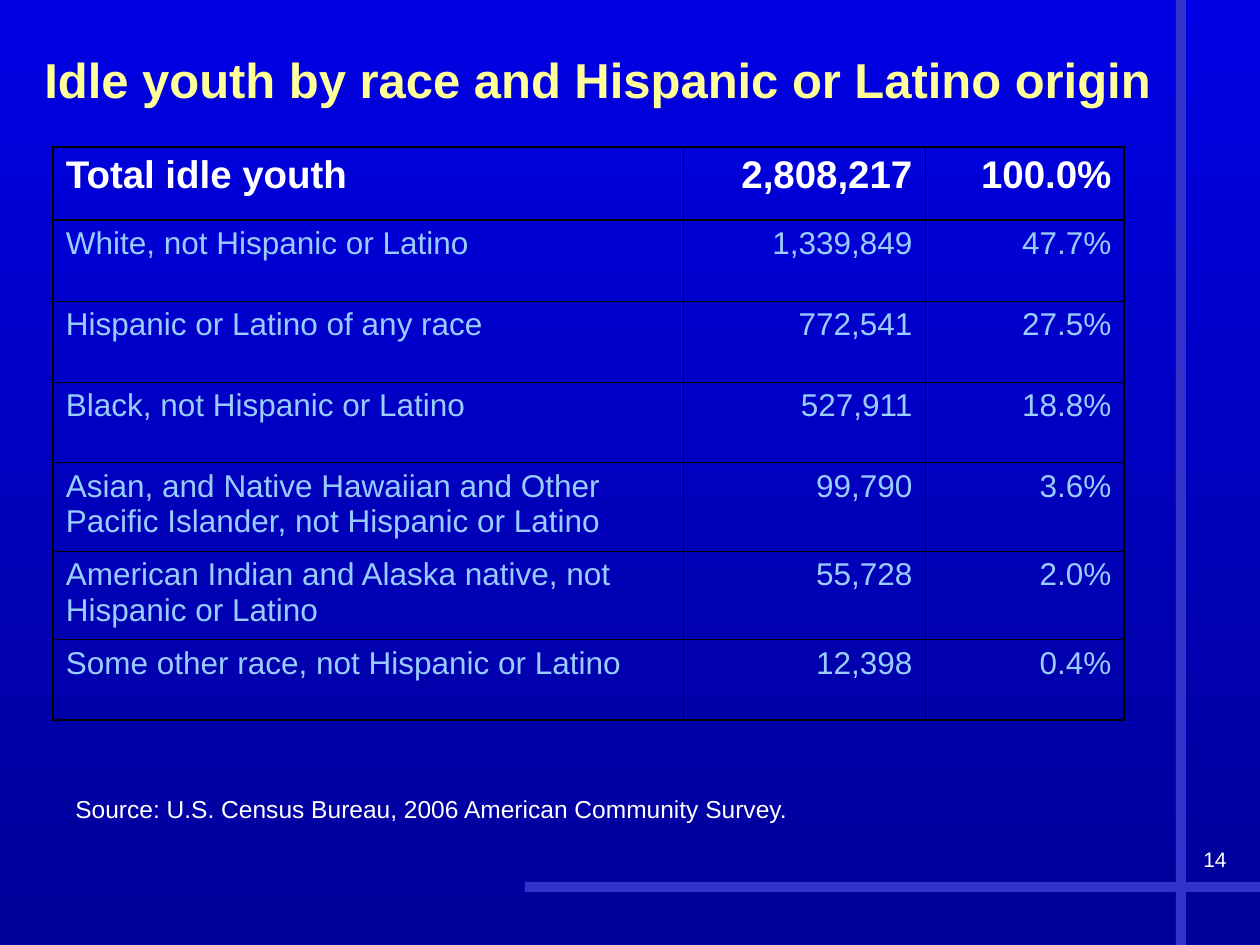
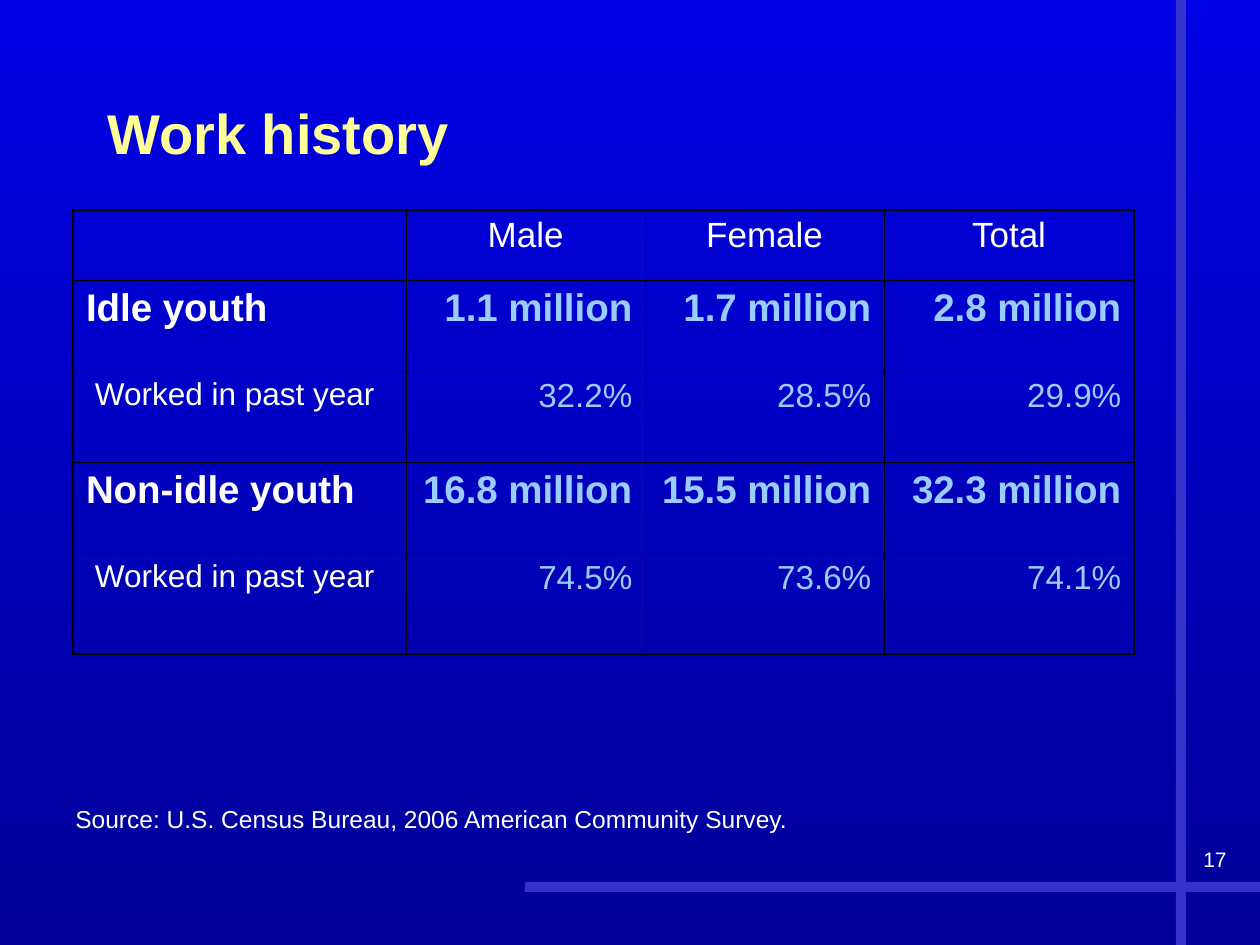
from dataclasses import dataclass

from lxml.etree import SubElement
from pptx import Presentation
from pptx.dml.color import RGBColor
from pptx.enum.shapes import MSO_SHAPE as Kind
from pptx.enum.text import MSO_ANCHOR as Anchor, PP_ALIGN as Align
from pptx.oxml.ns import qn
from pptx.slide import Slide
from pptx.table import _Cell as Cell
from pptx.text.text import TextFrame as Frame
from pptx.util import Emu, Pt

SCALE = 914400 / 126
WIDE, HIGH = 1260, 945
FONT = "Arial"
TOP, BASE = "0000E4", "000099"
BAND, LINE = "3333CC", "000000"
GOLD, WHITE, SKY = "FFFF99", "FFFFFF", "99CCFF"
THIN, EDGE, RULE = 0.45, 1.08, 1.47
PAD, INDENT = 13, 22
SOURCE = "Source: U.S. Census Bureau, 2006 American Community Survey."


@dataclass(frozen=True)
class Box:
    x: int
    y: int
    w: int
    h: int


@dataclass(frozen=True)
class Face:
    size: int
    color: str
    bold: bool = False


@dataclass(frozen=True)
class Row:
    texts: tuple[str, ...]
    high: int
    label: Face
    value: Face
    align: Align = Align.RIGHT
    inset: int = PAD


@dataclass(frozen=True)
class Grid:
    x: int
    y: int
    cols: tuple[int, ...]
    rows: tuple[Row, ...]
    rule: float = THIN


BARS = (Box(525, 882, 735, 10), Box(1176, 0, 10, HIGH))
NOTE, PAGE = Face(14, WHITE), Face(12, WHITE)
HEAD, BODY = Face(22, WHITE, True), Face(18, SKY)
SUM, SHARE = Face(22, SKY, True), Face(19, SKY)
SEX, PAST = Face(20, WHITE), Face(18, WHITE)

RACES = (
    ("White, not Hispanic or Latino", "1,339,849", "47.7%", 81),
    ("Hispanic or Latino of any race", "772,541", "27.5%", 81),
    ("Black, not Hispanic or Latino", "527,911", "18.8%", 81),
    ("Asian, and Native Hawaiian and Other Pacific Islander, "
     "not Hispanic or Latino", "99,790", "3.6%", 88),
    ("American Indian and Alaska native, not Hispanic or Latino",
     "55,728", "2.0%", 88),
    ("Some other race, not Hispanic or Latino", "12,398", "0.4%", 81),
)
YOUTH = Grid(53, 147, (630, 242, 199), (
    Row(("Total idle youth", "2,808,217", "100.0%"), 73, HEAD, HEAD),
    *(Row(tuple(texts), high, BODY, BODY) for *texts, high in RACES),
), RULE)


def group(name: str, sums: tuple[str, ...], rates: tuple[str, ...],
          last: int) -> tuple[Row, Row]:
    """Pair a headcount row with its share that worked."""
    return (Row((name, *(f"{n} million" for n in sums)), 91, HEAD, SUM),
            Row(("Worked in past year", *rates), last, PAST, SHARE,
                inset=INDENT))


WORK = Grid(73, 210, (333, 239, 239, 250), (
    Row(("", "Male", "Female", "Total"), 70, SEX, SEX, Align.CENTER),
    *group("Idle youth", ("1.1", "1.7", "2.8"),
           ("32.2%", "28.5%", "29.9%"), 91),
    *group("Non-idle youth", ("16.8", "15.5", "32.3"),
           ("74.5%", "73.6%", "74.1%"), 101),
))


def px(n: int) -> Emu:
    return Emu(round(n * SCALE))


def rgb(code: str) -> RGBColor:
    return RGBColor.from_string(code)


def place(box: Box) -> tuple[Emu, ...]:
    return px(box.x), px(box.y), px(box.w), px(box.h)


def write(frame: Frame, text: str, face: Face,
          align: Align = Align.LEFT) -> None:
    para = frame.paragraphs[0]
    para.alignment = align
    run = para.add_run()
    run.text = text
    font = run.font
    font.name, font.size, font.bold = FONT, Pt(face.size), face.bold
    font.color.rgb = rgb(face.color)


def label(slide: Slide, box: Box, text: str, face: Face,
          align: Align = Align.LEFT, anchor: Anchor = Anchor.TOP) -> Frame:
    frame = slide.shapes.add_textbox(*place(box)).text_frame
    frame.word_wrap = True
    frame.vertical_anchor = anchor
    write(frame, text, face, align)
    return frame


def edge(cell: Cell, widths: tuple[float, ...]) -> None:
    """Draw the left, right, top and bottom borders, in that order."""
    props = cell._tc.get_or_add_tcPr()
    for i, (side, width) in enumerate(zip("LRTB", widths)):
        line = SubElement(props, qn(f"a:ln{side}"), w=str(int(Pt(width))))
        fill = SubElement(line, qn("a:solidFill"))
        SubElement(fill, qn("a:srgbClr"), val=LINE)
        props.insert(i, line)


def draw(slide: Slide, grid: Grid) -> None:
    rows, cols = len(grid.rows), len(grid.cols)
    box = Box(grid.x, grid.y, sum(grid.cols), sum(r.high for r in grid.rows))
    table = slide.shapes.add_table(rows, cols, *place(box)).table
    table.first_row = table.horz_banding = False
    for col, wide in zip(table.columns, grid.cols):
        col.width = px(wide)
    lines = [EDGE, grid.rule] + [THIN] * (rows - 2) + [EDGE]
    for r, row in enumerate(grid.rows):
        table.rows[r].height = px(row.high)
        for c, text in enumerate(row.texts):
            cell = table.cell(r, c)
            cell.fill.background()
            edge(cell, (THIN if c else EDGE,
                        THIN if c < cols - 1 else EDGE,
                        lines[r], lines[r + 1]))
            if not text:
                continue
            cell.margin_left = px(PAD if c else row.inset)
            write(cell.text_frame, text, row.value if c else row.label,
                  row.align if c else Align.LEFT)


def start(deck: Presentation, page: int, foot: int) -> Slide:
    """Add a slide with the shared background, bars, source and number."""
    slide = deck.slides.add_slide(deck.slide_layouts[6])
    fill = slide.background.fill
    fill.gradient()
    fill.gradient_angle = 270
    for stop, code in zip(fill.gradient_stops, (TOP, BASE)):
        stop.color.rgb = rgb(code)
    for box in BARS:
        bar = slide.shapes.add_shape(Kind.RECTANGLE, *place(box))
        bar.shadow.inherit = False
        bar.fill.solid()
        bar.fill.fore_color.rgb = rgb(BAND)
        bar.line.fill.background()
    label(slide, Box(63, foot, 809, 43), SOURCE, NOTE)
    label(slide, Box(977, 840, 262, 63), str(page), PAGE, Align.RIGHT)
    return slide


def main() -> None:
    deck = Presentation()
    deck.slide_width, deck.slide_height = px(WIDE), px(HIGH)

    race = start(deck, 14, 788)
    title = label(race, Box(32, 49, 1166, 109),
                  "Idle youth by race and Hispanic or Latino origin",
                  Face(28, GOLD, True))
    title.margin_top = 0
    draw(race, YOUTH)

    work = start(deck, 17, 798)
    label(work, Box(95, 53, 410, 158), "Work history",
          Face(32, GOLD, True), anchor=Anchor.MIDDLE)
    draw(work, WORK)

    deck.save("out.pptx")


if __name__ == "__main__":
    main()
